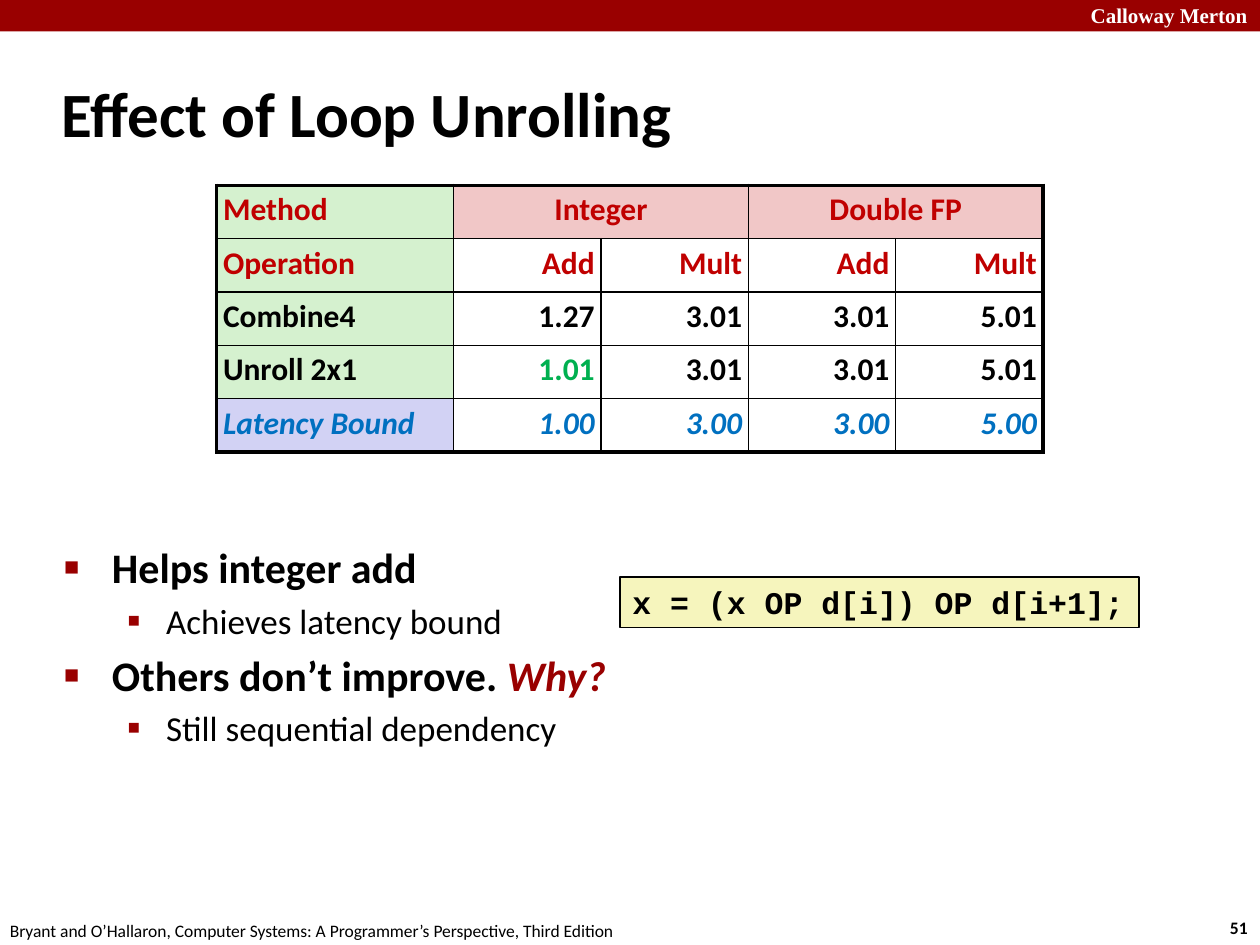
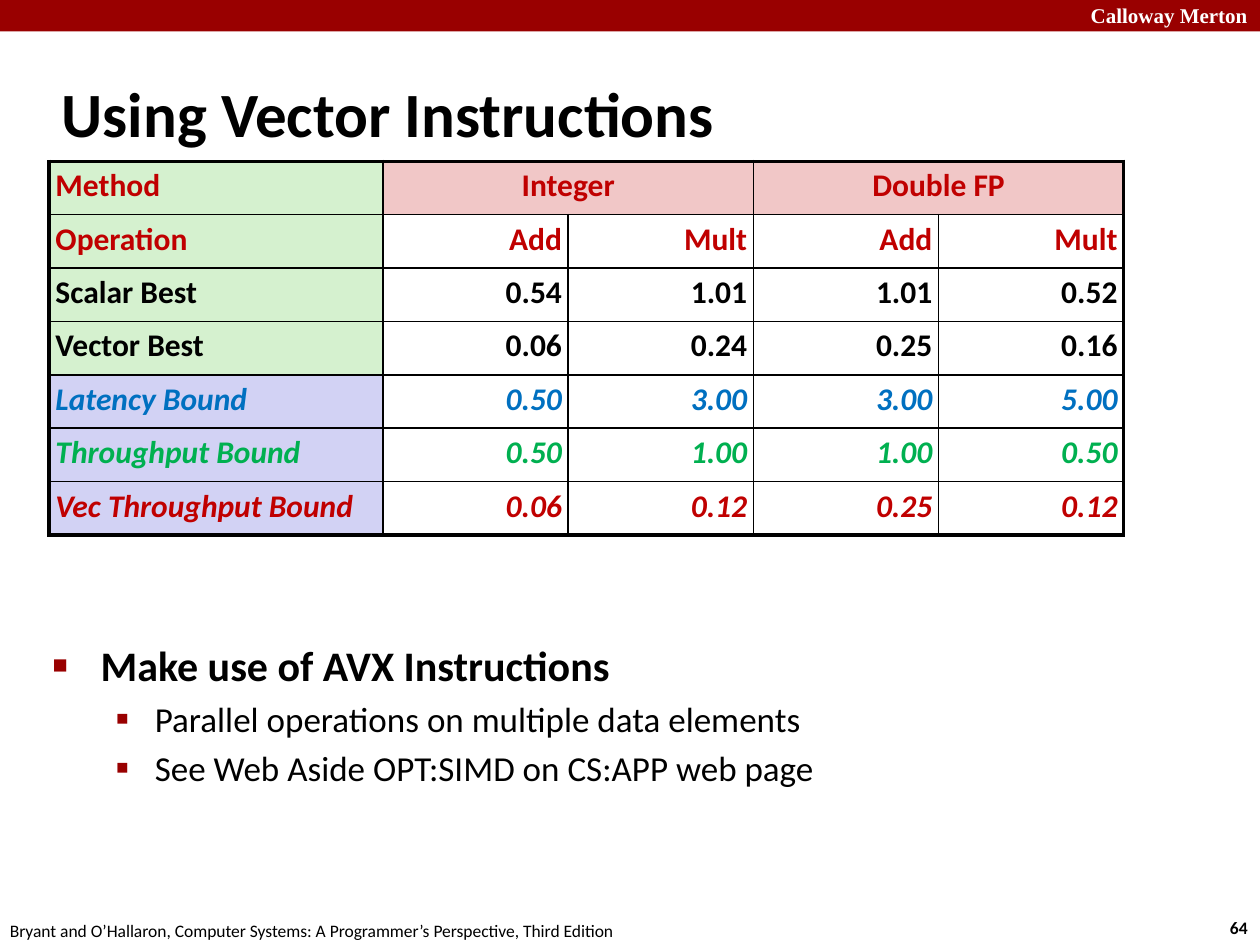
import pptx
import pptx.dml.color
import pptx.enum.shapes
import pptx.enum.text
import pptx.oxml
import pptx.oxml.ns
import pptx.util

ALIGN = pptx.enum.text.PP_ALIGN
ANCHOR = pptx.enum.text.MSO_ANCHOR
COLUMNS, ROWS = 100, 75
WIDTH, HEIGHT = pptx.util.Inches(10), pptx.util.Inches(7.5)

BLACK, WHITE, BRAND = "000000", "FFFFFF", "990000"
RED, GREEN, BLUE = "C00000", "00B050", "0070C0"
METHOD_FILL, TYPE_FILL, BOUND_FILL, CODE_FILL = "D5F1CF", "F1C7C7", "D2D2F4", "F6F5BD"
THIN, THICK = 1, 2.25
SANS, SERIF, MONO = "Calibri", "Times New Roman", "Courier New"
BULLETS = [
    dict(size=24, bold=True, left=3.8, hang=3.8, char="■", percent=60, font=SERIF),
    dict(size=20, bold=False, left=8.1, hang=3.1, char="▪", percent=110, font=SANS),
]
SCHOOL = "Calloway Merton"
BOOK = "Bryant and O’Hallaron, Computer Systems: A Programmer’s Perspective, Third Edition"


def rgb(code):
    return pptx.dml.color.RGBColor.from_string(code)


def xml(tag, attrs="", inner=""):
    ns = pptx.oxml.ns.nsdecls("a")
    return pptx.oxml.parse_xml(f"<a:{tag} {ns} {attrs}>{inner}</a:{tag}>")


class Deck:
    def __init__(self):
        self.prs = pptx.Presentation()
        self.prs.slide_width, self.prs.slide_height = WIDTH, HEIGHT
        self.s = None

    def x(self, columns):
        return round(WIDTH * columns / COLUMNS)

    def y(self, rows):
        return round(HEIGHT * rows / ROWS)

    def box(self, left, top, width, height):
        return self.x(left), self.y(top), self.x(width), self.y(height)

    def run(self, p, text, size, color=BLACK, bold=False, italic=False, font=SANS):
        r = p.add_run()
        r.text = text
        r.font.size = pptx.util.Pt(size)
        r.font.name = font
        r.font.bold, r.font.italic = bold, italic
        r.font.color.rgb = rgb(color)

    def slide(self, title, number):
        self.s = self.prs.slides.add_slide(self.prs.slide_layouts[5])
        self.rect(0, 0, 100, 2.5, BRAND)
        self.text(70, -0.3, 30, 3, SCHOOL, 12, ALIGN.RIGHT,
                  color=WHITE, bold=True, font=SERIF)
        self.text(90, 72.3, 10, 2.7, str(number), 10, ALIGN.RIGHT, bold=True)
        self.text(-0.2, 72.5, 60, 2.7, BOOK, 10, ALIGN.LEFT)
        self.title(title)

    def title(self, text):
        sp = self.s.shapes.title
        sp.left, sp.top, sp.width, sp.height = self.box(3.9, 4.8, 83, 8.3)
        tf = sp.text_frame
        tf.auto_size = pptx.enum.text.MSO_AUTO_SIZE.NONE
        tf.vertical_anchor = ANCHOR.MIDDLE
        p = tf.paragraphs[0]
        p.alignment = ALIGN.LEFT
        self.run(p, text, 36, bold=True)

    def rect(self, left, top, width, height, fill, line=None):
        sp = self.s.shapes.add_shape(pptx.enum.shapes.MSO_SHAPE.RECTANGLE,
                                     *self.box(left, top, width, height))
        sp.shadow.inherit = False
        sp.fill.solid()
        sp.fill.fore_color.rgb = rgb(fill)
        if line:
            sp.line.color.rgb = rgb(line)
            sp.line.width = pptx.util.Pt(THIN)
        else:
            sp.line.fill.background()
        return sp

    def text(self, left, top, width, height, text, size, align, **style):
        sp = self.s.shapes.add_textbox(*self.box(left, top, width, height))
        sp.text_frame.word_wrap = True
        p = sp.text_frame.paragraphs[0]
        p.alignment = align
        self.run(p, text, size, **style)

    def code(self, left, top, width, height, text):
        tf = self.rect(left, top, width, height, CODE_FILL, BLACK).text_frame
        tf.word_wrap = False
        tf.vertical_anchor = ANCHOR.TOP
        p = tf.paragraphs[0]
        p.alignment = ALIGN.LEFT
        self.run(p, text, 18, bold=True, font=MONO)

    def bullets(self, left, top, width, height, items):
        tf = self.s.shapes.add_textbox(*self.box(left, top, width, height)).text_frame
        tf.word_wrap = True
        for i, (level, text, *accent) in enumerate(items):
            p = tf.add_paragraph() if i else tf.paragraphs[0]
            b = BULLETS[level]
            p.level = level
            p.space_before = pptx.util.Pt(b["size"] * 0.2)
            pPr = p._p.get_or_add_pPr()
            pPr.set("marL", str(self.x(b["left"])))
            pPr.set("indent", str(-self.x(b["hang"])))
            pPr.append(xml("buClr", inner=f'<a:srgbClr val="{BRAND}"/>'))
            pPr.append(xml("buSzPct", f'val="{b["percent"] * 1000}"'))
            pPr.append(xml("buFont", f'typeface="{b["font"]}"'))
            pPr.append(xml("buChar", f'char="{b["char"]}"'))
            self.run(p, text, b["size"], bold=b["bold"])
            for word in accent:
                self.run(p, word, b["size"], BRAND, b["bold"], True)

    def borders(self, cell, **widths):
        tcPr = cell._tc.get_or_add_tcPr()
        fill = f'<a:solidFill><a:srgbClr val="{BLACK}"/></a:solidFill>'
        for i, side in enumerate("LRTB"):
            width = pptx.util.Pt(widths[side])
            tcPr.insert(i, xml(f"ln{side}", f'w="{width}"', fill))

    def cell(self, cell, text, align, color, italic, fill):
        cell.margin_left = cell.margin_right = self.x(0.5)
        cell.margin_top = cell.margin_bottom = self.y(0.5)
        if fill:
            cell.fill.solid()
            cell.fill.fore_color.rgb = rgb(fill)
        else:
            cell.fill.background()
        p = cell.text_frame.paragraphs[0]
        p.alignment = align
        p.line_spacing = 0.95
        if text:
            self.run(p, text, 18, color, True, italic)

    def table(self, left, top, label_width, value_width, results, highlights=()):
        head = [("Method", ["Integer", "", "Double FP", ""], RED, False),
                ("Operation", ["Add", "Mult"] * 2, RED, False)]
        rows = head + results
        n, m, row_height = len(rows), 5, 4.24
        widths = [label_width] + [value_width] * (m - 1)
        tbl = self.s.shapes.add_table(
            n, m, *self.box(left, top, sum(widths), n * row_height)).table
        tbl.first_row = tbl.horz_banding = False
        for column, width in zip(tbl.columns, widths):
            column.width = self.x(width)
        for i, (label, values, color, bound) in enumerate(rows):
            tbl.rows[i].height = self.y(row_height)
            for j, text in enumerate([label] + values):
                cell = tbl.cell(i, j)
                if j == 0:
                    align, fill = ALIGN.LEFT, BOUND_FILL if bound else METHOD_FILL
                elif i == 0:
                    align, fill = ALIGN.CENTER, TYPE_FILL
                else:
                    align, fill = ALIGN.RIGHT, None
                shade = GREEN if (label, j) in highlights else color
                self.cell(cell, text, align, shade, bound, fill)
                span = 2 if i == 0 and j in (1, 3) else 1
                self.borders(cell, L=THIN if j else THICK,
                             R=THICK if j + span == m else THIN,
                             T=THIN if i else THICK,
                             B=THICK if i == n - 1 else THIN)
        for j in (1, 3):
            tbl.cell(0, j).merge(tbl.cell(0, j + 1))


def main():
    deck = Deck()

    deck.slide("Effect of Loop Unrolling", 51)
    deck.bullets(4.1, 42.5, 90.9, 29.2, [
        (0, "Helps integer add"),
        (1, "Achieves latency bound"),
        (0, "Others don’t improve. ", "Why?"),
        (1, "Still sequential dependency"),
    ])
    deck.code(49.2, 45.8, 41.2, 4, "x = (x OP d[i]) OP d[i+1];")
    deck.table(17.2, 14.7, 18.8, 11.7, [
        ("Combine4", ["1.27", "3.01", "3.01", "5.01"], BLACK, False),
        ("Unroll 2x1", ["1.01", "3.01", "3.01", "5.01"], BLACK, False),
        ("Latency Bound", ["1.00", "3.00", "3.00", "5.00"], BLUE, True),
    ], highlights=[("Unroll 2x1", 1)])

    deck.slide("Using Vector Instructions", 64)
    deck.bullets(3.2, 50.3, 90.9, 20.5, [
        (0, "Make use of AVX Instructions"),
        (1, "Parallel operations on multiple data elements"),
        (1, "See Web Aside OPT:SIMD on CS:APP web page"),
    ])
    deck.table(3.9, 12.8, 26.5, 14.7, [
        ("Scalar Best", ["0.54", "1.01", "1.01", "0.52"], BLACK, False),
        ("Vector Best", ["0.06", "0.24", "0.25", "0.16"], BLACK, False),
        ("Latency Bound", ["0.50", "3.00", "3.00", "5.00"], BLUE, True),
        ("Throughput Bound", ["0.50", "1.00", "1.00", "0.50"], GREEN, True),
        ("Vec Throughput Bound", ["0.06", "0.12", "0.25", "0.12"], RED, True),
    ])

    deck.prs.save("out.pptx")


if __name__ == "__main__":
    main()
